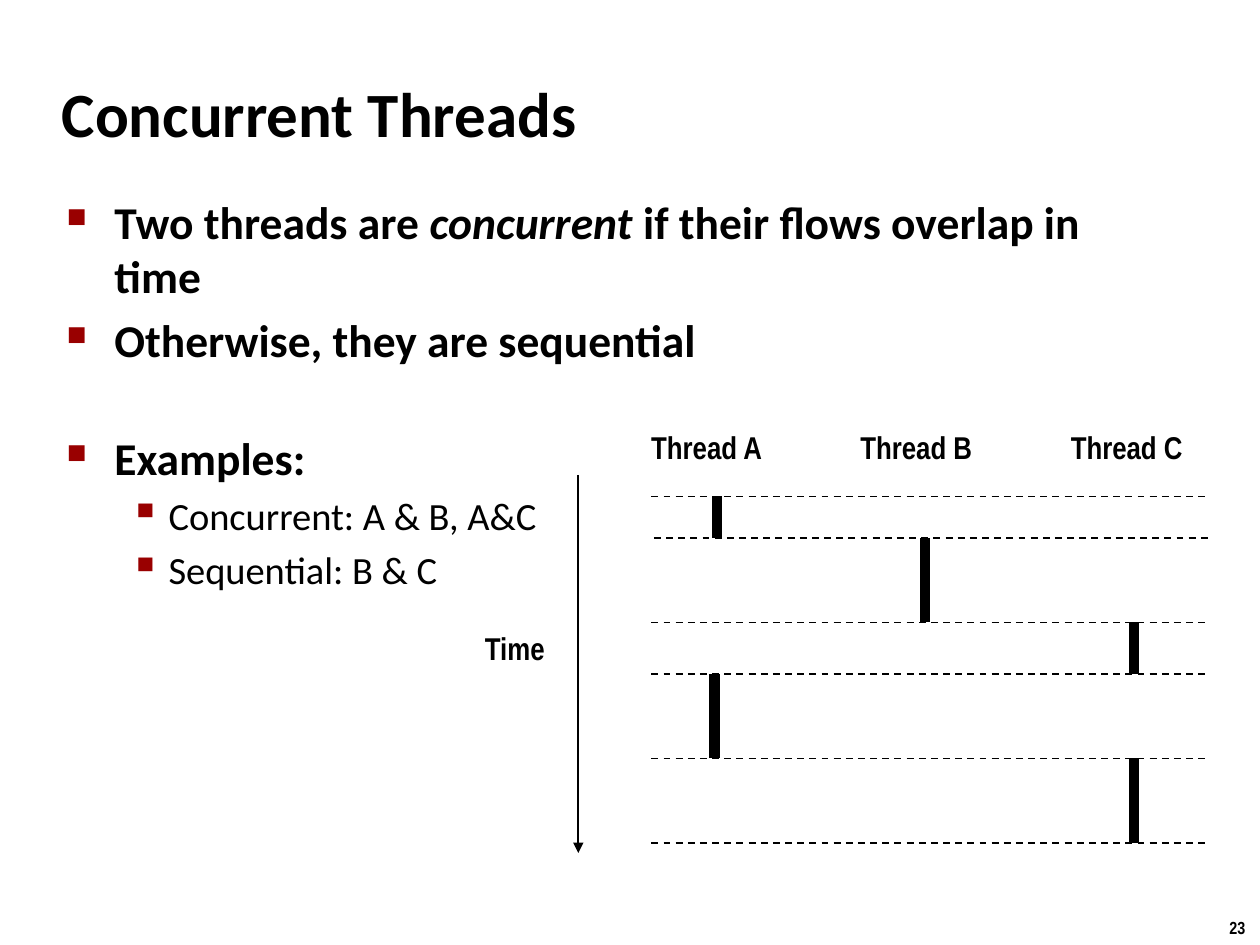
from typing import NamedTuple

from lxml.etree import SubElement
from pptx import Presentation
from pptx.dml.color import RGBColor
from pptx.enum.dml import MSO_LINE as Dash
from pptx.enum.shapes import MSO_CONNECTOR as Link
from pptx.enum.text import MSO_ANCHOR as Anchor, MSO_AUTO_SIZE as Fit, PP_ALIGN as Align
from pptx.oxml.ns import qn
from pptx.util import Inches, Pt

BLACK = RGBColor(0, 0, 0)
RED = RGBColor(0x99, 0, 0)
SANS = "Calibri"
NARROW = "Arial Narrow"


class Level(NamedTuple):
    size: float
    bold: bool
    left: float
    hang: float
    mark: str
    scale: int


class Point(NamedTuple):
    level: Level
    space: float
    runs: list[str]


class Label(NamedTuple):
    text: str
    left: float
    top: float
    width: float
    height: float = 0.4
    size: float = 18


class Bar(NamedTuple):
    x: float
    start: int


MAIN = Level(26, True, 0.38, 0.38, "■", 60)
SUB = Level(22, False, 0.81, 0.31, "▪", 110)
POINTS = [
    Point(MAIN, 5.2, ["Two threads are ", "concurrent", " if their flows overlap in time"]),
    Point(MAIN, 5.2, ["Otherwise, they are sequential"]),
    Point(MAIN, 36, ["Examples:"]),
    Point(SUB, 4.4, ["Concurrent: A & B, A&C"]),
    Point(SUB, 4.4, ["Sequential: B & C"]),
]
LABELS = [
    Label("Time", 3.75, 4.94, 0.68),
    Label("Thread A", 5.07, 3.35, 1.09),
    Label("Thread B", 6.73, 3.35, 1.1),
    Label("Thread C", 8.4, 3.35, 1.1),
    Label("23", 9.66, 7.23, 0.34, 0.27, 10),
]
TIMES = [3.94, 4.27, 4.94, 5.35, 6.02, 6.69]
BARS = [Bar(5.69, 0), Bar(7.34, 1), Bar(9, 2), Bar(5.67, 3), Bar(9, 4)]


def add_run(para, text: str, font: str, size: float, bold: bool = True, slant: bool = False):
    run = para.add_run()
    run.text = text
    face = run.font
    face.name, face.size, face.bold, face.italic = font, Pt(size), bold, slant
    face.color.rgb = BLACK


def add_mark(para, level: Level):
    props = para._p.get_or_add_pPr()
    props.set("marL", str(Inches(level.left)))
    props.set("indent", str(-Inches(level.hang)))
    tint = SubElement(props, qn("a:buClr"))
    SubElement(tint, qn("a:srgbClr"), val=str(RED))
    SubElement(props, qn("a:buSzPct"), val=str(level.scale * 1000))
    SubElement(props, qn("a:buChar"), char=level.mark)


def add_points(slide, points: list[Point]):
    box = slide.shapes.add_textbox(Inches(0.43), Inches(1.49), Inches(8.64), Inches(5.44))
    frame = box.text_frame
    frame.word_wrap = True
    for i, point in enumerate(points):
        para = frame.add_paragraph() if i else frame.paragraphs[0]
        para.space_before = Pt(point.space)
        add_mark(para, point.level)
        for text in point.runs:
            add_run(para, text, SANS, point.level.size, point.level.bold, text == "concurrent")


def add_label(slide, label: Label):
    box = slide.shapes.add_textbox(
        Inches(label.left), Inches(label.top), Inches(label.width), Inches(label.height))
    frame = box.text_frame
    frame.word_wrap = False
    frame.auto_size = Fit.SHAPE_TO_FIT_TEXT
    add_run(frame.paragraphs[0], label.text, NARROW, label.size)


def add_line(slide, x1: float, y1: float, x2: float, y2: float, width: float = 1):
    link = slide.shapes.add_connector(
        Link.STRAIGHT, Inches(x1), Inches(y1), Inches(x2), Inches(y2))
    link.line.color.rgb = BLACK
    link.line.width = Pt(width)
    SubElement(link._element.spPr, qn("a:effectLst"))
    return link.line


def add_title(slide, text: str):
    title = slide.shapes.title
    title.left, title.top = Inches(0.39), Inches(0.48)
    title.width, title.height = Inches(8.3), Inches(0.83)
    frame = title.text_frame
    frame.auto_size = Fit.NONE
    frame.vertical_anchor = Anchor.MIDDLE
    para = frame.paragraphs[0]
    para.alignment = Align.LEFT
    add_run(para, text, SANS, 36)


def main():
    deck = Presentation()
    deck.slide_width, deck.slide_height = Inches(10), Inches(7.5)
    slide = deck.slides.add_slide(deck.slide_layouts[5])
    add_title(slide, "Concurrent Threads")
    add_points(slide, POINTS)
    for label in LABELS:
        add_label(slide, label)
    axis = add_line(slide, 4.59, 3.77, 4.59, 6.77)
    SubElement(axis._get_or_add_ln(), qn("a:tailEnd"), type="triangle")
    for bar in BARS:
        add_line(slide, bar.x, TIMES[bar.start], bar.x, TIMES[bar.start + 1], 6)
    for i, time in enumerate(TIMES):
        shift = 0.02 if i == 1 else 0
        add_line(slide, 5.17 + shift, time, 9.59 + shift, time).dash_style = Dash.DASH
    deck.save("out.pptx")


if __name__ == "__main__":
    main()
